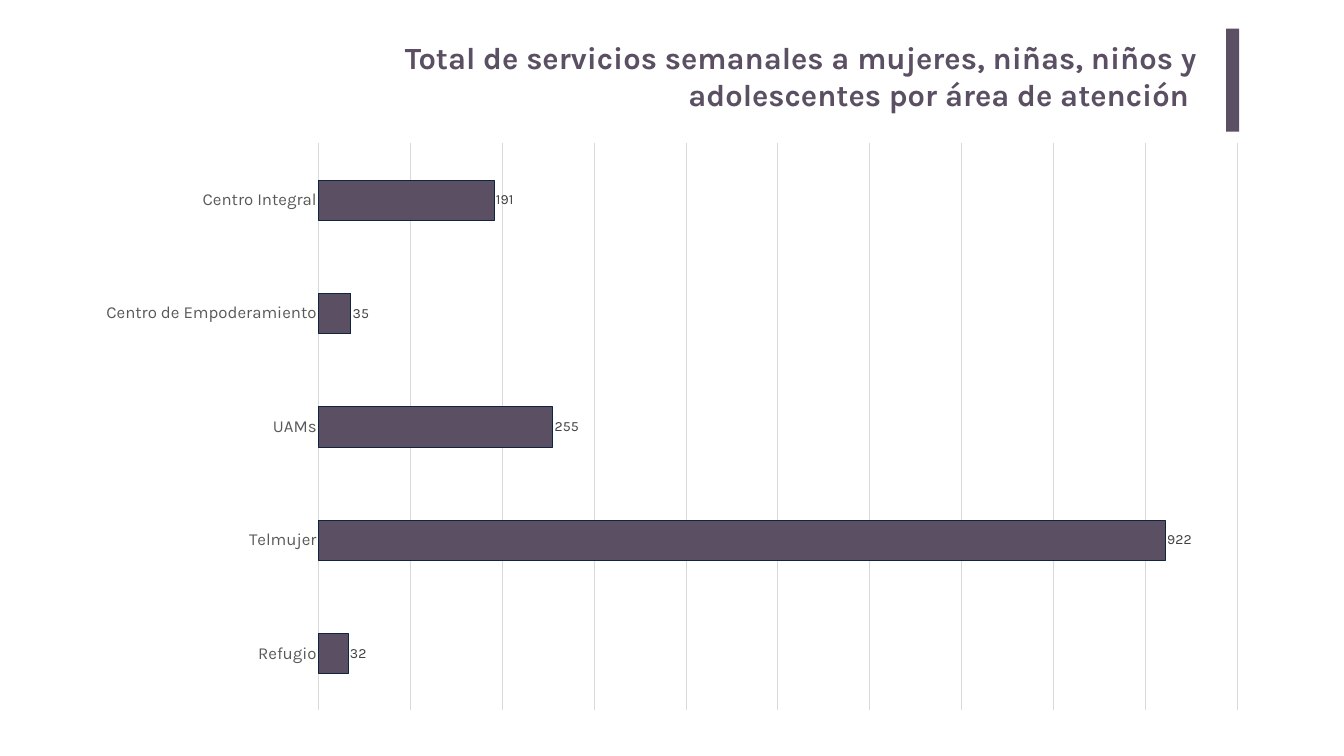
from lxml import etree
from pptx import Presentation
from pptx.chart.data import CategoryChartData
from pptx.dml.color import RGBColor
from pptx.enum import chart as ch, shapes, text
from pptx.oxml.ns import qn
from pptx.util import Inches, Pt

PLUM = RGBColor(0x5B, 0x4F, 0x63)
NAVY = RGBColor(0x0F, 0x24, 0x3E)
GRID = RGBColor(0xD9, 0xD9, 0xD9)
AXIS_TEXT = RGBColor(0x59, 0x59, 0x59)
LABEL_TEXT = RGBColor(0x40, 0x40, 0x40)
BLACK = RGBColor(0, 0, 0)
FONT = "Karla"

TITLE = ("Total de servicios semanales a mujeres, niñas, niños y "
         "adolescentes por área de atención ")
SERVICES = {
    "Centro Integral": 191,
    "Centro de Empoderamiento": 35,
    "UAMs": 255,
    "Telmujer": 922,
    "Refugio": 32,
}


def style_font(font, size, color, bold=False):
    font.name = FONT
    font.size = Pt(size)
    font.bold = bold
    font.color.rgb = color


def style_line(line, color):
    line.color.rgb = color
    line.width = Pt(0.75)


def add_heading(slide, left, top, width, height):
    """Right-aligned title with an accent bar at the right edge of the box."""
    bar_width = 0.26
    title = slide.shapes.add_textbox(
        Inches(left), Inches(top + 0.1), Inches(width - 0.63), Inches(height))
    frame = title.text_frame
    frame.word_wrap = True
    frame.margin_left = frame.margin_right = Inches(0.2)
    frame.margin_top = frame.margin_bottom = Inches(0.1)
    paragraph = frame.paragraphs[0]
    paragraph.alignment = text.PP_ALIGN.RIGHT
    run = paragraph.add_run()
    run.text = TITLE
    style_font(run.font, 44, PLUM, bold=True)

    accent = slide.shapes.add_shape(
        shapes.MSO_SHAPE.RECTANGLE, Inches(left + width - bar_width),
        Inches(top), Inches(bar_width), Inches(height))
    accent.shadow.inherit = False
    accent.fill.solid()
    accent.fill.fore_color.rgb = PLUM
    accent.line.fill.background()


def set_plot_layout(chart, **fractions):
    """Fix the inner plot area as fractions (x, y, w, h) of the chart."""
    plot_area = chart._chartSpace.chart.plotArea
    for old in plot_area.findall(qn("c:layout")):
        plot_area.remove(old)
    layout = etree.Element(qn("c:layout"))
    manual = etree.SubElement(layout, qn("c:manualLayout"))
    settings = {"layoutTarget": "inner", "xMode": "edge", "yMode": "edge",
                **fractions}
    for tag, value in settings.items():
        etree.SubElement(manual, qn(f"c:{tag}")).set("val", str(value))
    plot_area.insert(0, layout)


def add_services_chart(slide, left, top, width, height):
    data = CategoryChartData()
    data.categories = list(SERVICES)
    data.add_series("Servicios", list(SERVICES.values()))
    chart = slide.shapes.add_chart(
        ch.XL_CHART_TYPE.BAR_CLUSTERED, Inches(left), Inches(top),
        Inches(width), Inches(height), data).chart
    chart.has_legend = False
    chart.has_title = False
    style_font(chart.font, 10, BLACK)
    set_plot_layout(chart, x=0.2, y=0.02, w=0.78, h=0.96)

    areas = chart.category_axis
    areas.reverse_order = True
    areas.major_tick_mark = ch.XL_TICK_MARK.NONE
    style_font(areas.tick_labels.font, 24, AXIS_TEXT)
    style_line(areas.format.line, GRID)

    totals = chart.value_axis
    totals.visible = False
    totals.minimum_scale = 0
    totals.maximum_scale = 1000
    totals.major_unit = 100
    totals.has_major_gridlines = True
    style_line(totals.major_gridlines.format.line, GRID)

    plot = chart.plots[0]
    plot.gap_width = 182
    plot.vary_by_categories = False
    bars = plot.series[0]
    bars.format.fill.solid()
    bars.format.fill.fore_color.rgb = PLUM
    style_line(bars.format.line, NAVY)
    labels = bars.data_labels
    labels.show_value = True
    labels.position = ch.XL_LABEL_POSITION.OUTSIDE_END
    style_font(labels.font, 20, LABEL_TEXT)


def main():
    deck = Presentation()
    deck.slide_width = Inches(26.67)
    deck.slide_height = Inches(15)
    slide = deck.slides.add_slide(deck.slide_layouts[6])
    add_heading(slide, 6.56, 0.57, 18.03, 2.04)
    add_services_chart(slide, 1.65, 2.61, 23.36, 11.72)
    deck.save("out.pptx")


if __name__ == "__main__":
    main()
